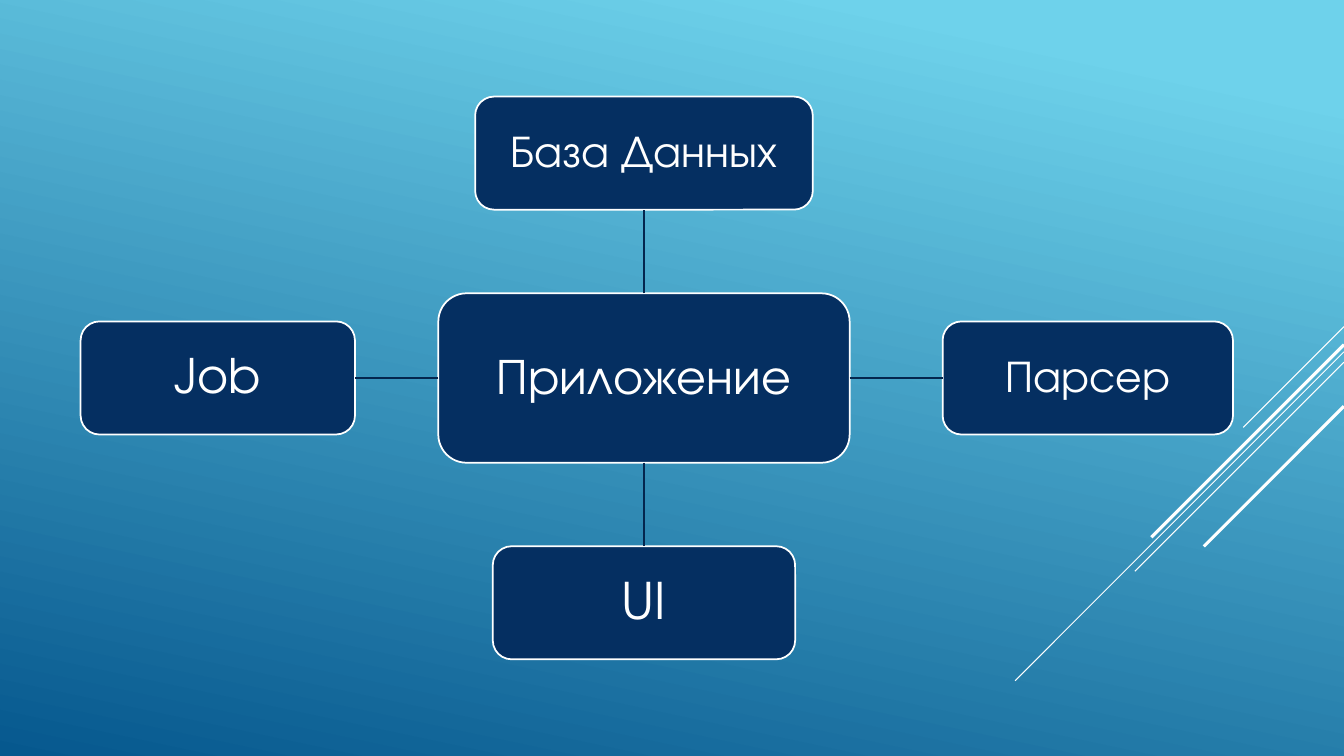
from lxml import etree
from pptx import Presentation
from pptx.dml.color import RGBColor
from pptx.enum.shapes import MSO_CONNECTOR, MSO_SHAPE
from pptx.enum.text import MSO_ANCHOR, PP_ALIGN
from pptx.oxml.ns import qn
from pptx.util import Pt

ROUND = MSO_SHAPE.ROUNDED_RECTANGLE
STRAIGHT = MSO_CONNECTOR.STRAIGHT
MIDDLE = MSO_ANCHOR.MIDDLE
CENTER = PP_ALIGN.CENTER

WIDE, HIGH = 960, 540
MID_X, MID_Y = 460, 270
STEP = 160.6
NAVY, INK, WHITE = "052F61", "04264E", "FFFFFF"
SKY = ((0.1, "6ED2EB"), (1, "06588E"))
FONT = "TeX Gyre Adventor"
INSET = 10.5

HUB = ("Приложение", MID_X, MID_Y, 293.8, 121, 36)
PARTS = (
    (("База Данных", MID_X, MID_Y - STEP, 241.2, 80.8, 32), 0, 2),
    (("Парсер", 777, MID_Y, 207.4, 80.8, 32), 3, 1),
    (("UI", MID_X, MID_Y + STEP, 216, 80.8, 36), 2, 0),
    (("Job", 155.6, MID_Y, 196, 80.8, 34), 1, 3),
)
RAYS = (
    (233.3, 72, 0.75),
    (251.3, 234.9, 0.75),
    (258.7, 149.4, 0.75),
    (246.2, 137.6, 2.25),
    (290.2, 100.1, 2.25),
)


def color(code):
    """Turn a hex string into a colour."""
    return RGBColor.from_string(code)


def apply(target, values):
    """Set each named value on the target."""
    for name, value in values.items():
        setattr(target, name, value)


def paint(slide):
    """Fill the background with the slanted blue gradient."""
    fill = slide.background.fill
    fill.gradient()
    fill.gradient_angle = 258
    for stop, (place, code) in zip(fill.gradient_stops, SKY):
        stop.position = place
        stop.color.rgb = color(code)


def link(slide, ends, code, width):
    """Draw a straight line between two points and return it."""
    line = slide.shapes.add_connector(STRAIGHT, *map(Pt, ends))
    line.line.color.rgb = color(code)
    line.line.width = Pt(width)
    etree.SubElement(line._element.spPr, qn("a:effectLst"))
    return line


def box(slide, label, mid_x, mid_y, width, height, size):
    """Draw a labelled rounded box about its centre and return it."""
    place = (mid_x - width / 2, mid_y - height / 2, width, height)
    shape = slide.shapes.add_shape(ROUND, *map(Pt, place))
    shape.shadow.inherit = False
    shape.fill.solid()
    shape.fill.fore_color.rgb = color(NAVY)
    shape.line.color.rgb = color(WHITE)
    shape.line.width = Pt(1.25)
    frame = shape.text_frame
    sides = ("left", "top", "right", "bottom")
    apply(frame, {f"margin_{side}": Pt(INSET) for side in sides})
    apply(frame, {"word_wrap": True, "vertical_anchor": MIDDLE})
    line = frame.paragraphs[0]
    apply(line, {"alignment": CENTER, "line_spacing": 0.9})
    run = line.add_run()
    run.text = label
    apply(run.font, {"name": FONT, "size": Pt(size)})
    run.font.color.rgb = color(WHITE)
    return shape


def main():
    """Build the slide and save it."""
    deck = Presentation()
    apply(deck, {"slide_width": Pt(WIDE), "slide_height": Pt(HIGH)})
    slide = deck.slides.add_slide(deck.slide_layouts[6])
    paint(slide)
    for top, span, width in RAYS:
        link(slide, (WIDE, top, WIDE - span, top + span), WHITE, width)
    hub = box(slide, *HUB)
    for part, start, end in PARTS:
        node = box(slide, *part)
        line = link(slide, (MID_X, MID_Y, *part[1:3]), INK, 1.25)
        line.begin_connect(hub, start)
        line.end_connect(node, end)
    deck.save("out.pptx")


if __name__ == "__main__":
    main()
